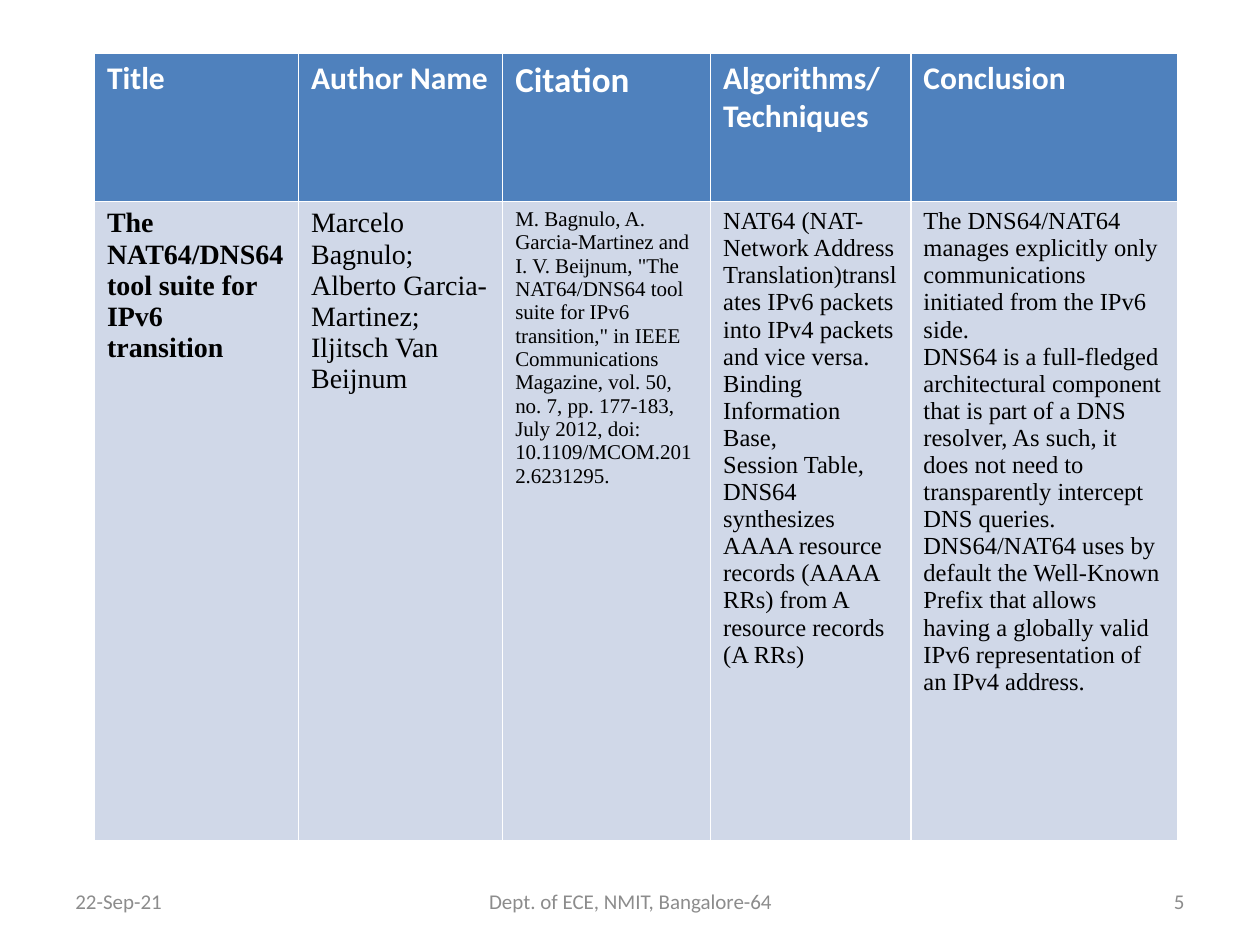
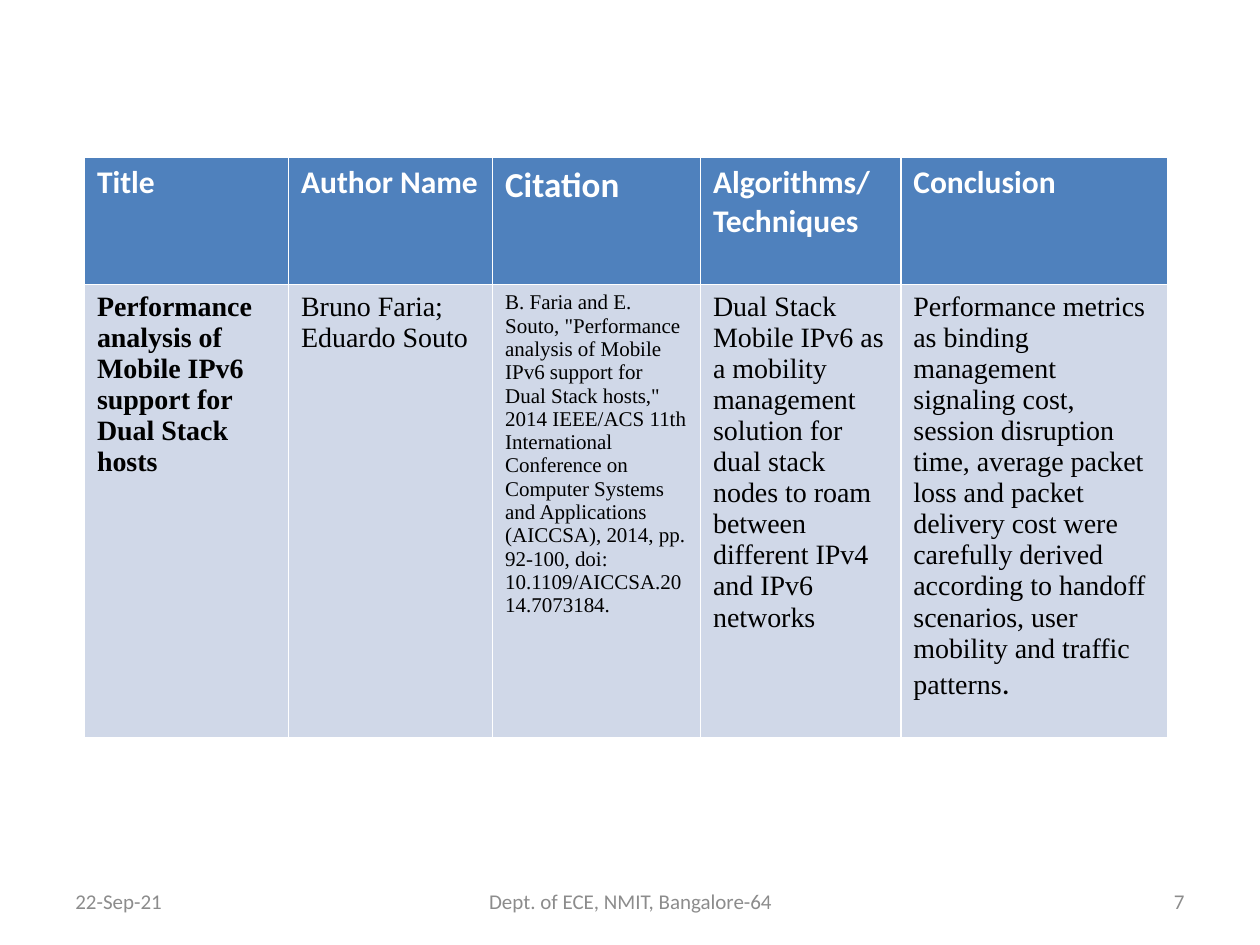
"""Build two literature survey slides, each with one table and a footer."""
from dataclasses import dataclass

from pptx import Presentation
from pptx.dml.color import RGBColor
from pptx.enum.text import MSO_ANCHOR, PP_ALIGN
from pptx.util import Inches, Pt


@dataclass(frozen=True)
class Theme:
    header_fill: RGBColor = RGBColor(0x4F, 0x81, 0xBD)
    body_fill: RGBColor = RGBColor(0xD0, 0xD8, 0xE8)
    header_text: RGBColor = RGBColor(0xFF, 0xFF, 0xFF)
    body_text: RGBColor = RGBColor(0x00, 0x00, 0x00)
    footer_text: RGBColor = RGBColor(0x8C, 0x8C, 0x8C)
    heading_font: str = "Calibri"
    body_font: str = "Times New Roman"
    footer_size: int = 12
    header_sizes: tuple = (18, 18, 20, 18, 18)
    closing_size: int = 18


theme = Theme()
headings = ["Title", "Author Name", "Citation", "Algorithms/Techniques", "Conclusion"]
column_widths = [1.62, 1.62, 1.65, 1.59, 2.12]

surveys = [
    {
        "number": "5",
        "position": (0.75, 0.42),
        "row_heights": (1.18, 5.07),
        "sizes": (16, 16, 12, 14, 14),
        "cells": [
            ["The NAT64/DNS64 tool suite for IPv6 transition"],
            ["Marcelo Bagnulo; Alberto Garcia-Martinez; Iljitsch Van Beijnum"],
            ['M. Bagnulo, A. Garcia-Martinez and I. V. Beijnum, "The NAT64/DNS64 tool suite '
             'for IPv6 transition," in IEEE Communications Magazine, vol. 50, no. 7, '
             'pp. 177-183, July 2012, doi: 10.1109/MCOM.2012.6231295.'],
            ["NAT64 (NAT-Network Address Translation)translates IPv6 packets into IPv4 "
             "packets and vice versa.",
             "Binding Information Base,",
             "Session Table,",
             "DNS64 synthesizes AAAA resource records (AAAA RRs) from A resource records "
             "(A RRs)"],
            ["The DNS64/NAT64 manages explicitly only communications initiated from the "
             "IPv6 side.",
             "DNS64 is a full-fledged architectural component that is part of a DNS "
             "resolver, As such, it does not need to transparently intercept DNS queries. "
             "DNS64/NAT64 uses by default the Well-Known Prefix that allows having a "
             "globally valid IPv6 representation of an IPv4 address."],
        ],
        "closing": "",
    },
    {
        "number": "7",
        "position": (0.67, 1.25),
        "row_heights": (1.01, 3.37),
        "sizes": (16, 16, 12, 16, 16),
        "cells": [
            ["Performance analysis of Mobile IPv6 support for Dual Stack hosts"],
            ["Bruno Faria; Eduardo Souto"],
            ['B. Faria and E. Souto, "Performance analysis of Mobile IPv6 support for Dual '
             'Stack hosts," 2014 IEEE/ACS 11th International Conference on Computer Systems '
             'and Applications (AICCSA), 2014, pp. 92-100, doi: '
             '10.1109/AICCSA.2014.7073184.'],
            ["Dual Stack Mobile IPv6 as a mobility management solution for dual stack nodes "
             "to roam between different IPv4 and IPv6 networks"],
            ["Performance metrics as binding management signaling cost, session disruption "
             "time, average packet loss and packet delivery cost were carefully derived "
             "according to handoff scenarios, user mobility and traffic patterns"],
        ],
        "closing": ".",
    },
]


def style_paragraph(paragraph, font_name, size, color, bold=False):
    """Set the font of a whole paragraph."""
    font = paragraph.font
    font.name = font_name
    font.size = Pt(size)
    font.color.rgb = color
    font.bold = bold


def fill_cell(cell, lines, fill, *font_settings):
    """Write one paragraph per line on a solid cell fill."""
    cell.fill.solid()
    cell.fill.fore_color.rgb = fill
    cell.text = "\n".join(lines)
    for paragraph in cell.text_frame.paragraphs:
        style_paragraph(paragraph, *font_settings)


presentation = Presentation()
presentation.slide_width = Inches(10)
presentation.slide_height = Inches(7.5)
blank_layout = presentation.slide_layouts[6]

for survey in surveys:
    slide = presentation.slides.add_slide(blank_layout)

    footers = [
        ("22-Sep-21", 0.5, 2.33, PP_ALIGN.LEFT),
        ("Dept. of ECE, NMIT, Bangalore-64", 3.42, 3.17, PP_ALIGN.CENTER),
        (survey["number"], 7.17, 2.33, PP_ALIGN.RIGHT),
    ]
    for text, left, width, alignment in footers:
        footer = slide.shapes.add_textbox(Inches(left), Inches(6.95), Inches(width), Inches(0.4))
        footer.text_frame.word_wrap = True
        footer.text_frame.vertical_anchor = MSO_ANCHOR.MIDDLE
        paragraph = footer.text_frame.paragraphs[0]
        paragraph.text = text
        paragraph.alignment = alignment
        style_paragraph(paragraph, theme.heading_font, theme.footer_size, theme.footer_text)

    left, top = survey["position"]
    table = slide.shapes.add_table(
        2, len(headings), Inches(left), Inches(top),
        Inches(sum(column_widths)), Inches(sum(survey["row_heights"])),
    ).table
    for row, height in zip(table.rows, survey["row_heights"]):
        row.height = Inches(height)
    for index, width in enumerate(column_widths):
        table.columns[index].width = Inches(width)
        fill_cell(table.cell(0, index), [headings[index]], theme.header_fill,
                  theme.heading_font, theme.header_sizes[index], theme.header_text, True)
        fill_cell(table.cell(1, index), survey["cells"][index], theme.body_fill,
                  theme.body_font, survey["sizes"][index], theme.body_text, index == 0)

    if survey["closing"]:
        conclusion = table.cell(1, len(headings) - 1).text_frame.paragraphs[-1]
        closing_run = conclusion.add_run()
        closing_run.text = survey["closing"]
        closing_run.font.name = theme.heading_font
        closing_run.font.size = Pt(theme.closing_size)

presentation.save("out.pptx")
